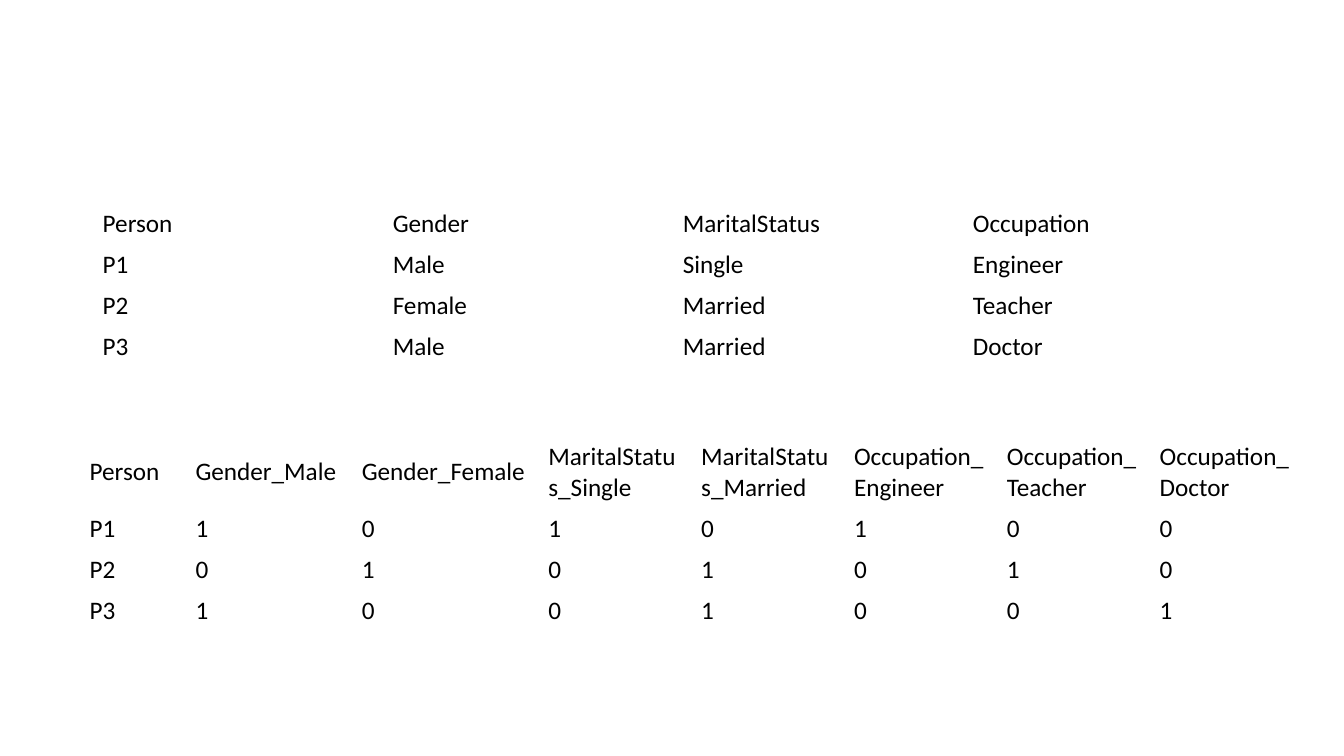
from pptx import Presentation
from pptx.dml.color import RGBColor
from pptx.enum.text import MSO_ANCHOR
from pptx.util import Pt

MIDDLE = MSO_ANCHOR.MIDDLE
THEME = {"font": "Calibri", "size": Pt(18), "text": RGBColor(0, 0, 0)}
ROW_HEIGHT = 29.2
HEADER_HEIGHT = 51.1  # two lines of text

# Categorical records and their one-hot encoding
people = [
    ["Person", "Gender", "MaritalStatus", "Occupation"],
    ["P1", "Male", "Single", "Engineer"],
    ["P2", "Female", "Married", "Teacher"],
    ["P3", "Male", "Married", "Doctor"],
]
categories = [
    (column, value)
    for column in range(1, len(people[0]))
    for value in dict.fromkeys(person[column] for person in people[1:])
]
encoded = [["Person"] + [f"{people[0][column]}_{value}" for column, value in categories]]
for person in people[1:]:
    encoded.append([person[0]] + [str(int(person[column] == value)) for column, value in categories])


def add_plain_table(page, rows, left, top, widths, heights):
    """Add a table without fills or header styling."""
    table = page.shapes.add_table(
        len(rows), len(widths), Pt(left), Pt(top), Pt(sum(widths)), Pt(sum(heights))
    ).table
    table.first_row = False
    table.horz_banding = False
    for column, width in zip(table.columns, widths):
        column.width = Pt(width)
    for row, height, values in zip(table.rows, heights, rows):
        row.height = Pt(height)
        for cell, value in zip(row.cells, values):
            cell.fill.background()
            cell.vertical_anchor = MIDDLE
            cell.text_frame.text = value
            font = cell.text_frame.paragraphs[0].runs[0].font
            font.name = THEME["font"]
            font.size = THEME["size"]
            font.color.rgb = THEME["text"]


# Slide
deck = Presentation()
deck.slide_width = Pt(960)
deck.slide_height = Pt(540)
page = deck.slides.add_slide(deck.slide_layouts[6])

# Original categories above, encoded columns below
add_plain_table(page, people, 66.2, 145.4, [207.2] * 4, [ROW_HEIGHT] * 4)
add_plain_table(
    page, encoded, 56.9, 311.8,
    [75.6, 118.8, 133.2] + [109.2] * 5,
    [HEADER_HEIGHT] + [ROW_HEIGHT] * 3,
)

deck.save("out.pptx")
